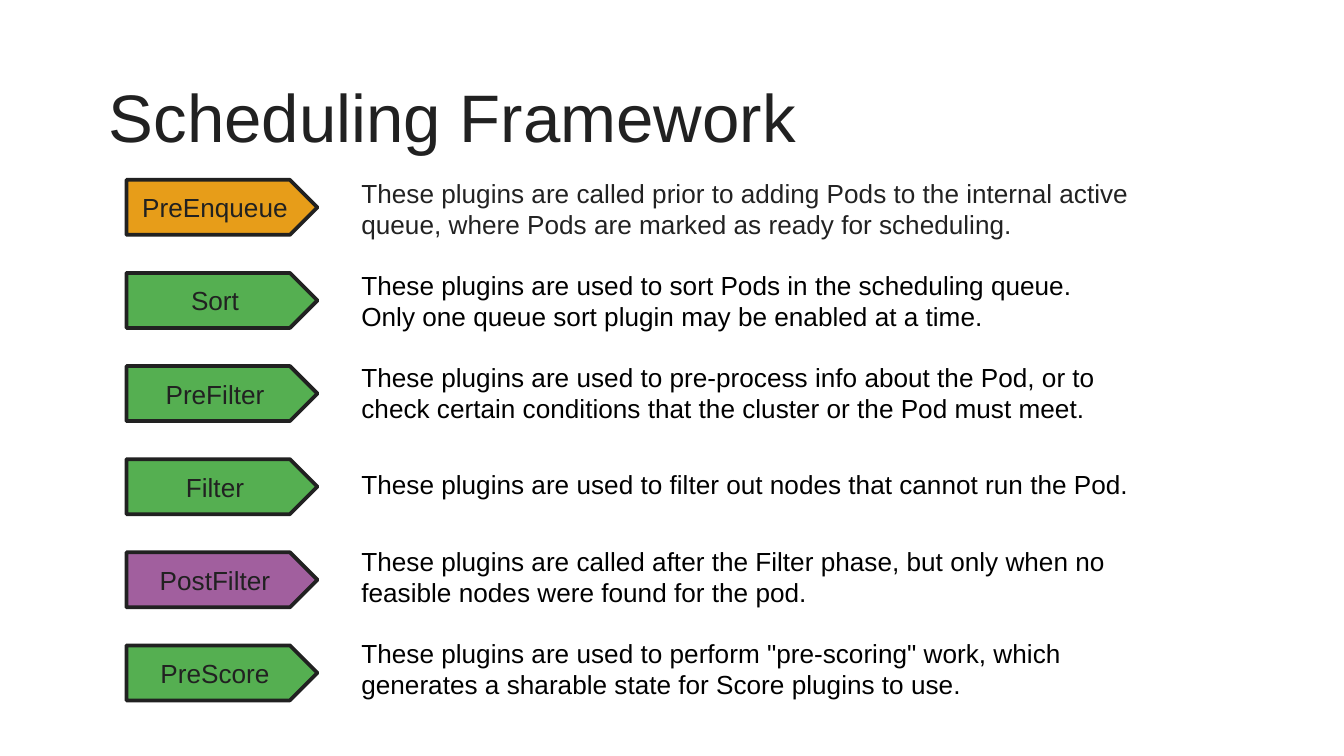
from dataclasses import dataclass

from lxml import etree
from pptx import Presentation
from pptx.dml.color import RGBColor
from pptx.enum.shapes import MSO_SHAPE
from pptx.enum.text import MSO_ANCHOR, MSO_AUTO_SIZE, PP_ALIGN
from pptx.oxml.ns import qn
from pptx.util import Cm, Pt

PLATE = MSO_SHAPE.PENTAGON
TOP, MIDDLE = MSO_ANCHOR.TOP, MSO_ANCHOR.MIDDLE
LEFT, CENTER = PP_ALIGN.LEFT, PP_ALIGN.CENTER
FIXED, GROW = MSO_AUTO_SIZE.NONE, MSO_AUTO_SIZE.SHAPE_TO_FIT_TEXT

FONT = "Arial"
INK, BLACK = "212121", "000000"
ORANGE, GREEN, PURPLE = "E79D19", "55AF51", "A15F9E"

# Grid, in centimetres
TAG_TOP, TAG_STEP = 3.4, 1.76
NOTE_TOP, NOTE_STEP = 3.22, 1.74
NOTE_HIGH, LINE_HIGH = 1.45, 0.59


@dataclass
class Stage:
    name: str
    fill: str
    note: str
    lines: int = 2
    color: str = BLACK
    width: float = 15.03


STAGES = [
    Stage("PreEnqueue", ORANGE,
          "These plugins are called prior to adding Pods to the internal active "
          "queue, where Pods are marked as ready for scheduling.",
          color="222222", width=15.37),
    Stage("Sort", GREEN,
          "These plugins are used to sort Pods in the scheduling queue. "
          "Only one queue sort plugin may be enabled at a time."),
    Stage("PreFilter", GREEN,
          "These plugins are used to pre-process info about the Pod, or to "
          "check certain conditions that the cluster or the Pod must meet."),
    Stage("Filter", GREEN,
          "These plugins are used to filter out nodes that cannot run the Pod.",
          lines=1),
    Stage("PostFilter", PURPLE,
          "These plugins are called after the Filter phase, but only when no "
          "feasible nodes were found for the pod."),
    Stage("PreScore", GREEN,
          'These plugins are used to perform "pre-scoring" work, which '
          "generates a sharable state for Score plugins to use."),
]


def rgb(code: str) -> RGBColor:
    return RGBColor.from_string(code)


def write(shape, text: str, size: int, color: str, align, anchor, fit) -> None:
    frame = shape.text_frame
    frame.text = text
    frame.word_wrap = True
    frame.auto_size = fit
    frame.vertical_anchor = anchor
    para = frame.paragraphs[0]
    para.alignment = align
    font = para.runs[0].font
    font.name, font.size = FONT, Pt(size)
    font.color.rgb = rgb(color)


def add_tag(slide, row: int, stage: Stage) -> None:
    top = TAG_TOP + row * TAG_STEP
    tag = slide.shapes.add_shape(PLATE, Cm(2.39), Cm(top), Cm(3.61), Cm(1.04))
    tag.shadow.inherit = False
    tag.fill.solid()
    tag.fill.fore_color.rgb = rgb(stage.fill)
    tag.line.color.rgb = rgb(INK)
    tag.line.width = Pt(2)
    etree.SubElement(tag.line._get_or_add_ln(), qn("a:round"))
    write(tag, stage.name, 14, INK, CENTER, MIDDLE, FIXED)


def add_note(slide, row: int, stage: Stage) -> None:
    # A shorter note stays centred in its row
    gap = (2 - stage.lines) * LINE_HIGH
    top = NOTE_TOP + row * NOTE_STEP + gap / 2
    note = slide.shapes.add_textbox(
        Cm(6.58), Cm(top), Cm(stage.width), Cm(NOTE_HIGH - gap))
    write(note, stage.note, 14, stage.color, LEFT, TOP, GROW)


def main() -> None:
    deck = Presentation()
    deck.slide_width, deck.slide_height = Cm(25.4), Cm(14.29)
    slide = deck.slides.add_slide(deck.slide_layouts[5])

    # Title
    title = slide.shapes.title
    title.left, title.top = Cm(1.8), Cm(1.04)
    title.width, title.height = Cm(21.44), Cm(1.63)
    write(title, "Scheduling Framework", 36, INK, LEFT, TOP, FIXED)
    title.text_frame.margin_top = Cm(0.38)
    title.text_frame.margin_bottom = 0

    # Stages with their notes
    for row, stage in enumerate(STAGES):
        add_tag(slide, row, stage)
        add_note(slide, row, stage)

    deck.save("out.pptx")


if __name__ == "__main__":
    main()
